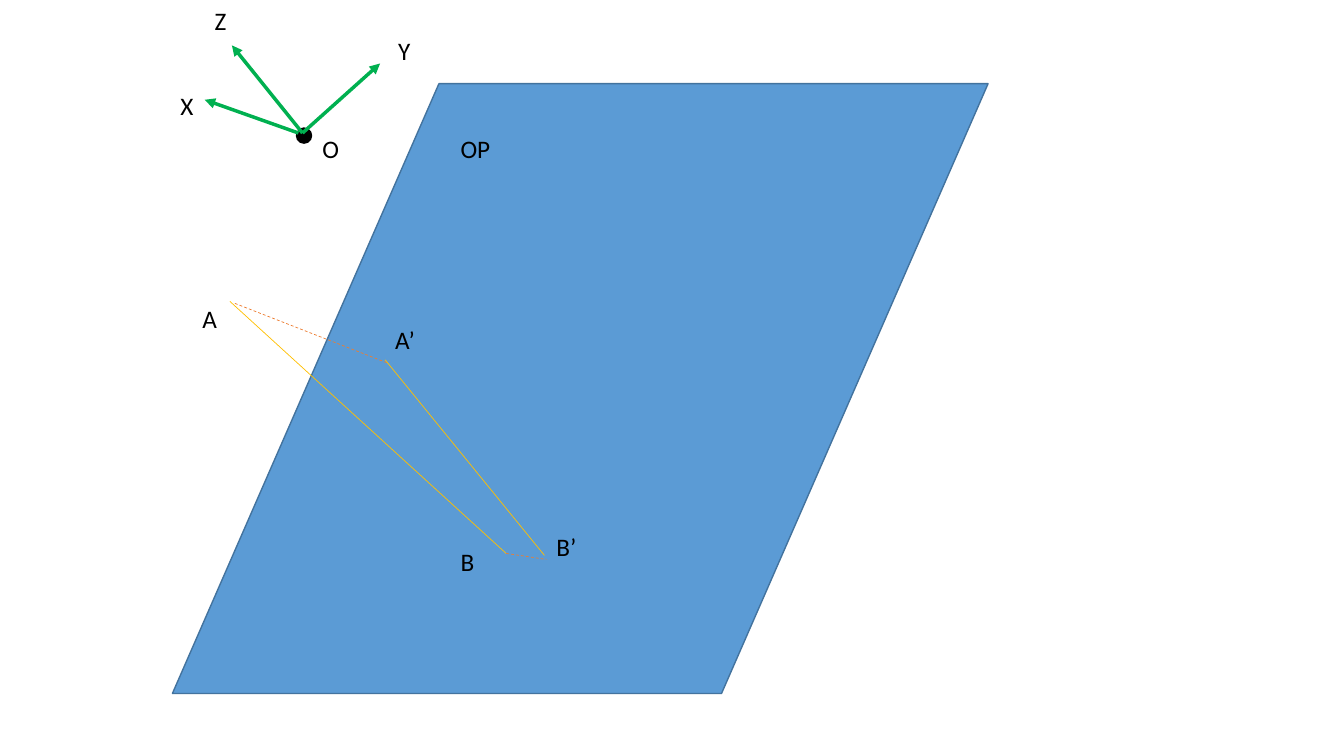
from lxml import etree
from pptx import Presentation
from pptx.dml.color import RGBColor
from pptx.enum.dml import MSO_LINE
from pptx.enum.shapes import MSO_CONNECTOR, MSO_SHAPE
from pptx.enum.text import MSO_AUTO_SIZE
from pptx.oxml.ns import qn
from pptx.util import Pt

# Content: lengths in px, 100 px to the inch
PX = 9144
SLIDE = (1333, 750)
BLACK, GOLD, ORANGE, GREEN = "000000", "FFC000", "ED7D31", "00B050"

PLANE = (171, 83, 809, 605)
PLANE_SLANT = 0.437
ORIGIN = (294, 127, 15, 15)

SEGMENTS = [  # start, end, colour, dashed
    ((228, 299), (502, 549), GOLD, False),
    ((233, 301), (384, 360), ORANGE, True),
    ((502, 549), (542, 555), ORANGE, True),
    ((382, 357), (540, 551), GOLD, False),
]
AXES = [  # tip, foot
    ((230, 45), (300, 132)),
    ((203, 99), (296, 132)),
    ((377, 63), (300, 132)),
]
NARROW, WIDE, LABEL_HEIGHT = 57, 444, 40
LABELS = [  # text, left, top, width
    ("A", 191, 296, NARROW),
    ("B", 447, 537, NARROW),
    ("A’", 382, 317, NARROW),
    ("B’", 542, 522, NARROW),
    ("OP", 447, 127, WIDE),
    ("O", 310, 127, WIDE),
    ("Z", 203, 0, WIDE),
    ("Y", 385, 30, WIDE),
    ("X", 169, 85, WIDE),
]

deck = Presentation()
deck.slide_width, deck.slide_height = (side * PX for side in SLIDE)
slide = deck.slides.add_slide(deck.slide_layouts[6])


def color(value):
    return RGBColor.from_string(value)


def emu(*lengths):
    return [length * PX for length in lengths]


def add_solid(kind, box, fill, outline):
    solid = slide.shapes.add_shape(kind, *emu(*box))
    solid.shadow.inherit = False
    solid.fill.solid()
    solid.fill.fore_color.rgb = color(fill)
    solid.line.color.rgb = color(outline)
    solid.line.width = Pt(1)
    return solid


def add_line(start, end, stroke, width, dashed=False, arrow=False):
    line = slide.shapes.add_connector(MSO_CONNECTOR.STRAIGHT, *emu(*start, *end))
    line.line.color.rgb = color(stroke)
    line.line.width = Pt(width)
    if dashed:
        line.line.dash_style = MSO_LINE.DASH
    properties = line._element.spPr
    if arrow:
        etree.SubElement(properties.find(qn("a:ln")), qn("a:headEnd"), type="triangle")
    etree.SubElement(properties, qn("a:effectLst"))


def add_text(text, box, size=18, font="Calibri", ink=BLACK):
    frame = slide.shapes.add_textbox(*emu(*box)).text_frame
    frame.word_wrap = True
    frame.auto_size = MSO_AUTO_SIZE.SHAPE_TO_FIT_TEXT
    run = frame.paragraphs[0].add_run()
    run.text = text
    run.font.size = Pt(size)
    run.font.name = font
    run.font.color.rgb = color(ink)


# Plane and origin point
plane = add_solid(MSO_SHAPE.PARALLELOGRAM, PLANE, "5B9BD5", "43739E")
plane.adjustments[0] = PLANE_SLANT
add_solid(MSO_SHAPE.OVAL, ORIGIN, BLACK, BLACK)

# Segment AB, its projection and the projecting lines
for start, end, stroke, dashed in SEGMENTS:
    add_line(start, end, stroke, 0.5, dashed=dashed)

# Axes
for tip, foot in AXES:
    add_line(tip, foot, GREEN, 2.5, arrow=True)

# Labels
for text, left, top, width in LABELS:
    add_text(text, (left, top, width, LABEL_HEIGHT))

deck.save("out.pptx")
